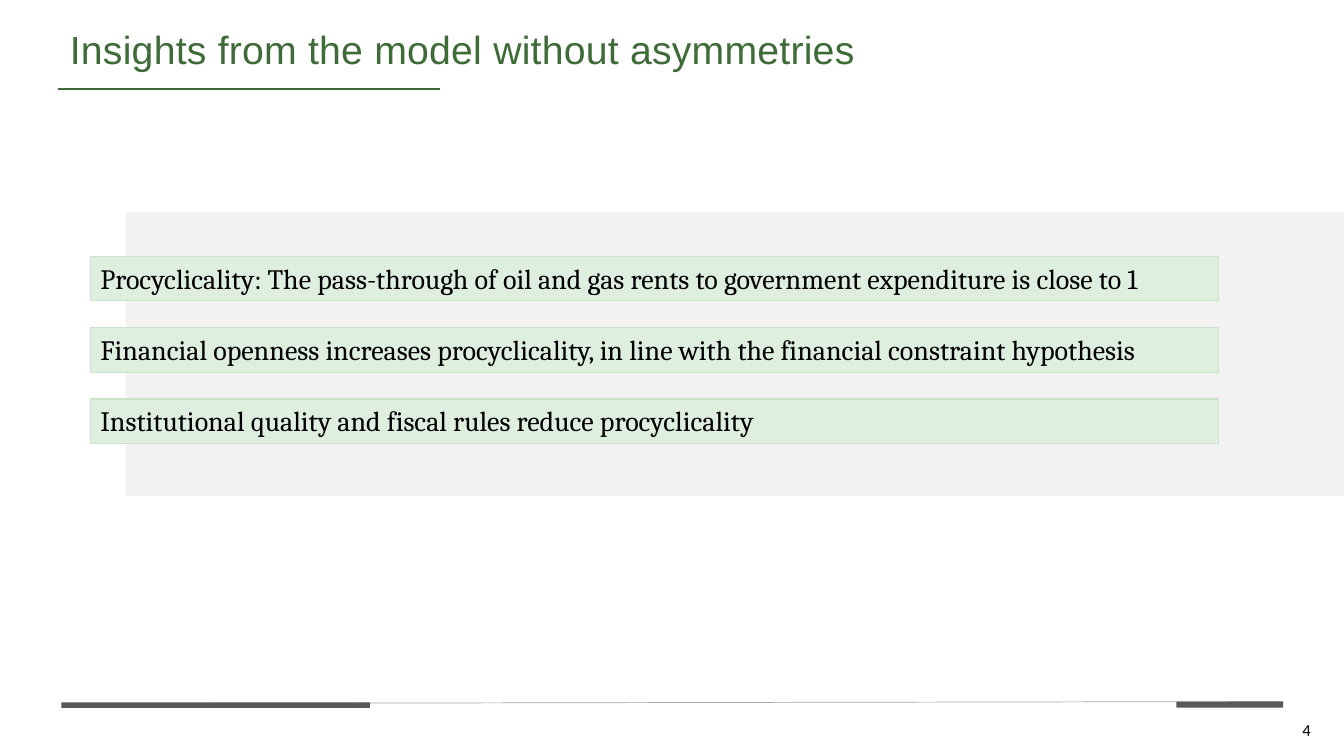
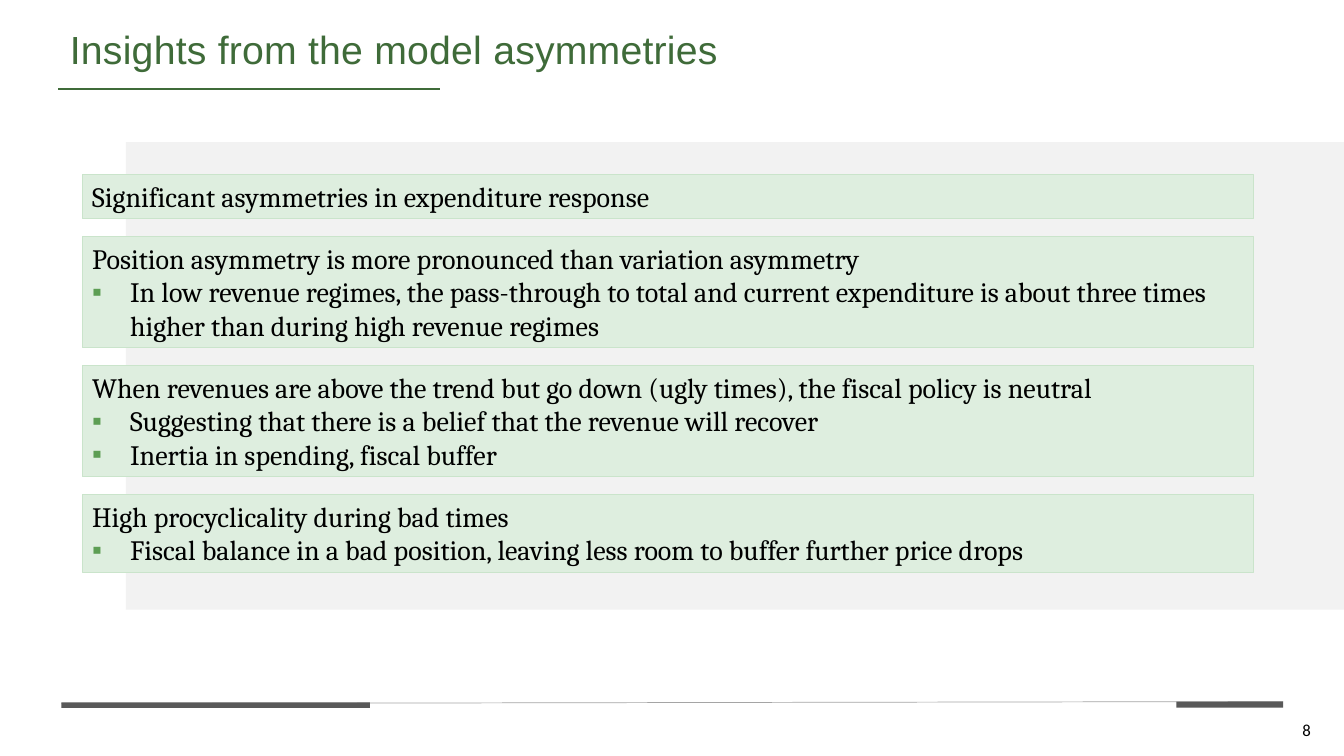
"""Build two slides of model insights with a shared title, panel and footer."""
from lxml import etree
from pptx import Presentation
from pptx.dml.color import RGBColor
from pptx.enum.shapes import MSO_CONNECTOR, MSO_SHAPE
from pptx.enum.text import MSO_ANCHOR, MSO_AUTO_SIZE, PP_ALIGN
from pptx.oxml.ns import qn
from pptx.util import Pt

GREEN = RGBColor(0x3F, 0x6B, 0x39)
BULLET_GREEN = RGBColor(0x5D, 0x9E, 0x54)
BOX_FILL = RGBColor(0xDE, 0xEE, 0xDF)
BOX_LINE = RGBColor(0xCA, 0xE4, 0xCB)
PANEL_GREY = RGBColor(0xF2, 0xF2, 0xF2)
RULE_GREY = RGBColor(0xA5, 0xA5, 0xA5)
BAR_GREY = RGBColor(0x59, 0x59, 0x59)
BLACK = RGBColor(0, 0, 0)

SLIDE_WIDTH, SLIDE_HEIGHT = 960, 540
PANEL_LEFT = 90
LINE_HEIGHT, BOX_PADDING = 24.1, 7.5
BULLET_INDENT = 27

SLIDES = [
    {
        "title": "Insights from the model without asymmetries",
        "number": "4",
        "panel": (151.2, 203),
        "boxes": (64.6, 183.4, 805.7, 19.2),
        "insights": [
            (1, "Procyclicality: The pass-through of oil and gas rents to "
                "government expenditure is close to 1", []),
            (1, "Financial openness increases procyclicality, in line with "
                "the financial constraint hypothesis", []),
            (1, "Institutional quality and fiscal rules reduce procyclicality", []),
        ],
    },
    {
        "title": "Insights from the model asymmetries",
        "number": "8",
        "panel": (101.5, 334),
        "boxes": (58.8, 124.6, 836.6, 12.4),
        "insights": [
            (1, "Significant asymmetries in expenditure response", []),
            (3, "Position asymmetry is more pronounced than variation asymmetry",
             ["In low revenue regimes, the pass-through to total and current "
              "expenditure is about three times higher than during high revenue regimes"]),
            (3, "When revenues are above the trend but go down (ugly times), "
                "the fiscal policy is neutral",
             ["Suggesting that there is a belief that the revenue will recover",
              "Inertia in spending, fiscal buffer"]),
            (2, "High procyclicality during bad times",
             ["Fiscal balance in a bad position, leaving less room to buffer "
              "further price drops"]),
        ],
    },
]


def add_rect(slide, left, top, width, height, fill, outline=None):
    rect = slide.shapes.add_shape(
        MSO_SHAPE.RECTANGLE, Pt(left), Pt(top), Pt(width), Pt(height))
    rect.shadow.inherit = False
    rect.fill.solid()
    rect.fill.fore_color.rgb = fill
    if outline is None:
        rect.line.fill.background()
    else:
        rect.line.color.rgb = outline
        rect.line.width = Pt(0.75)
    return rect


def add_rule(slide, start, end, color, weight):
    rule = slide.shapes.add_connector(
        MSO_CONNECTOR.STRAIGHT, Pt(start[0]), Pt(start[1]), Pt(end[0]), Pt(end[1]))
    rule.line.color.rgb = color
    rule.line.width = Pt(weight)
    etree.SubElement(rule._element.spPr, qn("a:effectLst"))


prs = Presentation()
prs.slide_width, prs.slide_height = Pt(SLIDE_WIDTH), Pt(SLIDE_HEIGHT)
title_only = prs.slide_layouts[5]

for content in SLIDES:
    slide = prs.slides.add_slide(title_only)

    add_rule(slide, (43.9, 502.6), (916.6, 501.1), RULE_GREY, 0.5)
    add_rect(slide, 43.9, 501.8, 220.3, 3.9, BAR_GREY)
    add_rect(slide, 840.2, 501.1, 76.4, 4.4, BAR_GREY)
    panel_top, panel_height = content["panel"]
    add_rect(slide, PANEL_LEFT, panel_top, SLIDE_WIDTH - PANEL_LEFT,
             panel_height, PANEL_GREY)

    title = slide.shapes.title
    title.left, title.top, title.width, title.height = Pt(49), Pt(17.3), Pt(625.7), Pt(35.3)
    frame = title.text_frame
    frame.text = content["title"]
    frame.auto_size = MSO_AUTO_SIZE.SHAPE_TO_FIT_TEXT
    frame.vertical_anchor = MSO_ANCHOR.TOP
    frame.margin_left, frame.margin_right = Pt(0.9), 0
    frame.margin_top, frame.margin_bottom = Pt(0.9), 0
    heading = frame.paragraphs[0]
    heading.alignment = PP_ALIGN.LEFT
    heading.space_before = Pt(1)
    heading.font.name = "Arial"
    heading.font.size = Pt(28)
    heading.font.color.rgb = GREEN
    heading.runs[0]._r.get_or_add_rPr().set("spc", "20")
    add_rule(slide, (41.8, 63.4), (314.6, 63.4), GREEN, 1.5)

    number = slide.shapes.add_textbox(Pt(930.2), Pt(514.1), Pt(23), Pt(20.9))
    frame = number.text_frame
    frame.word_wrap = False
    frame.margin_left = frame.margin_right = frame.margin_top = frame.margin_bottom = 0
    frame.text = content["number"]
    page = frame.paragraphs[0]
    page.space_before = page.space_after = Pt(3)
    page.font.name = "Calibri"
    page.font.size = Pt(12)
    page.font.color.rgb = BLACK

    left, top, width, gap = content["boxes"]
    for line_count, statement, details in content["insights"]:
        height = BOX_PADDING + LINE_HEIGHT * line_count
        box = add_rect(slide, left, top, width, height, BOX_FILL, BOX_LINE)
        top += height + gap
        frame = box.text_frame
        frame.word_wrap = True
        frame.auto_size = MSO_AUTO_SIZE.SHAPE_TO_FIT_TEXT
        frame.vertical_anchor = MSO_ANCHOR.TOP
        frame.text = "\n".join([statement, *details])
        for index, paragraph in enumerate(frame.paragraphs):
            paragraph.alignment = PP_ALIGN.LEFT
            paragraph.font.name = "Cambria"
            paragraph.font.size = Pt(20)
            paragraph.font.color.rgb = BLACK
            if index:
                properties = paragraph._p.get_or_add_pPr()
                properties.set("marL", str(Pt(BULLET_INDENT)))
                properties.set("indent", str(-Pt(BULLET_INDENT)))
                bullet_color = etree.Element(qn("a:buClr"))
                etree.SubElement(bullet_color, qn("a:srgbClr"), val=str(BULLET_GREEN))
                bullet_font = etree.Element(qn("a:buFont"), typeface="Arial")
                bullet = etree.Element(qn("a:buChar"), char="▪")
                for position, part in enumerate((bullet_color, bullet_font, bullet)):
                    properties.insert(position, part)

prs.save("out.pptx")
